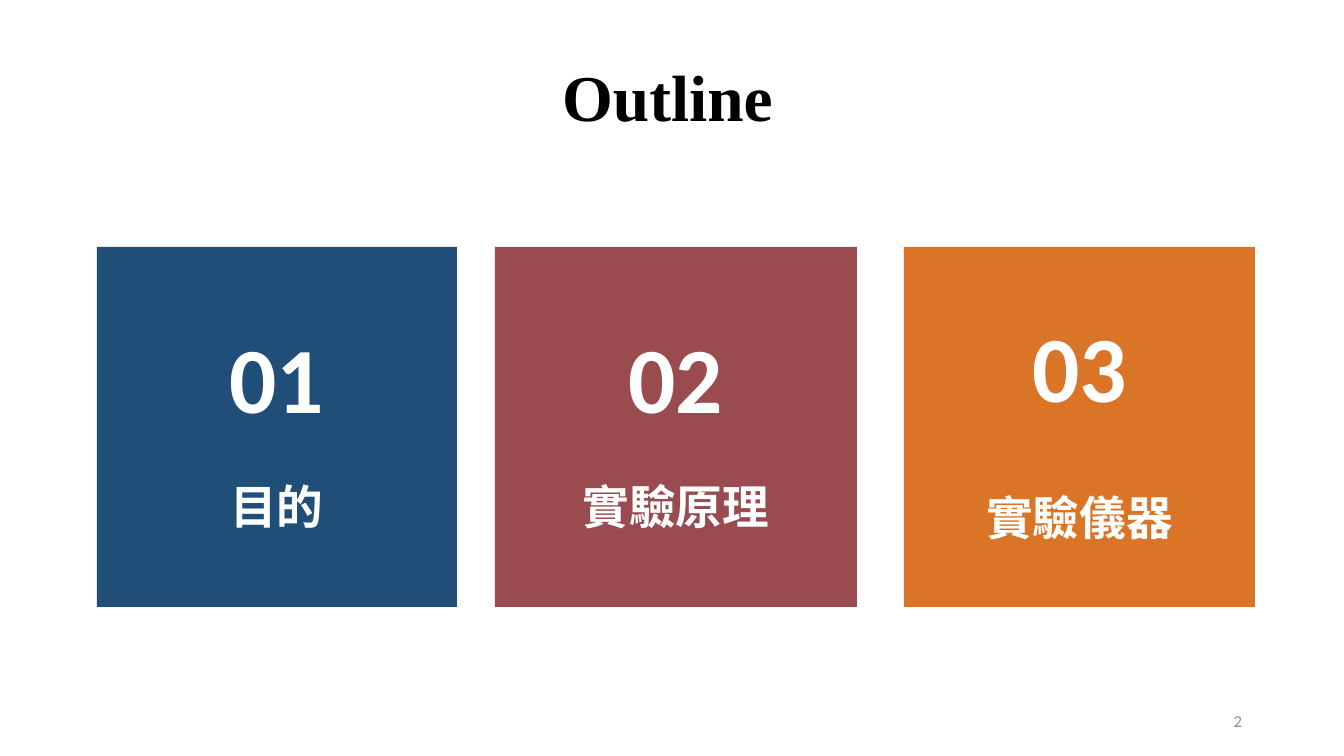
from pptx import Presentation
from pptx.dml.color import RGBColor
from pptx.enum.shapes import MSO_SHAPE as Shape
from pptx.enum.text import MSO_ANCHOR as Anchor, PP_ALIGN as Align
from pptx.util import Pt

PX = 914400 / 100.8
WIDE, HIGH = 1344, 756
TOP, SIDE = 247, 360

COLORS = {
    "blue": "1F4E79",
    "red": "994B4F",
    "orange": "DA7528",
    "white": "FFFFFF",
    "black": "000000",
    "gray": "8C8C8C",
}
TITLE = "Outline"
PAGE = "2"
# number, label, fill, left px, width px, gap between the lines in points
CARDS = [
    ("01", "目的", "blue", 97, 360, 32.6),
    ("02", "實驗原理", "red", 495, 362, 32.6),
    ("03", "實驗儀器", "orange", 904, 351, 48.8),
]


def emu(*sizes):
    return [round(size * PX) for size in sizes]


def color(name):
    return RGBColor.from_string(COLORS[name])


def style(para, size, tint, align=Align.CENTER, face="Calibri", bold=True):
    para.alignment = align
    font = para.font
    font.name, font.size, font.bold = face, Pt(size), bold
    font.color.rgb = color(tint)


def label(slide, text, box):
    """Add a one-line text box and return its paragraph."""
    frame = slide.shapes.add_textbox(*emu(*box)).text_frame
    frame.word_wrap = True
    frame.vertical_anchor = Anchor.MIDDLE
    para = frame.paragraphs[0]
    para.text = text
    return para


def card(slide, number, name, fill, left, width, gap):
    box = slide.shapes.add_shape(Shape.RECTANGLE, *emu(left, TOP, width, SIDE))
    box.shadow.inherit = False
    box.fill.solid()
    box.fill.fore_color.rgb = color(fill)
    box.line.fill.background()
    frame = box.text_frame
    frame.word_wrap = True
    frame.vertical_anchor = Anchor.MIDDLE
    head, foot = frame.paragraphs[0], frame.add_paragraph()
    head.text, foot.text = number, name
    style(head, 66.7, "white")
    style(foot, 33.3, "white")
    foot.space_before = Pt(gap)


def main():
    deck = Presentation()
    deck.slide_width, deck.slide_height = emu(WIDE, HIGH)
    slide = deck.slides.add_slide(deck.slide_layouts[6])

    title = label(slide, TITLE, (116, 30, 1103, 140))
    style(title, 46.7, "black", face="Times New Roman")
    title.line_spacing = 0.9

    for item in CARDS:
        card(slide, *item)

    page = label(slide, PAGE, (950, 701, 302, 40))
    style(page, 12, "gray", align=Align.RIGHT, bold=False)
    deck.save("out.pptx")


if __name__ == "__main__":
    main()
